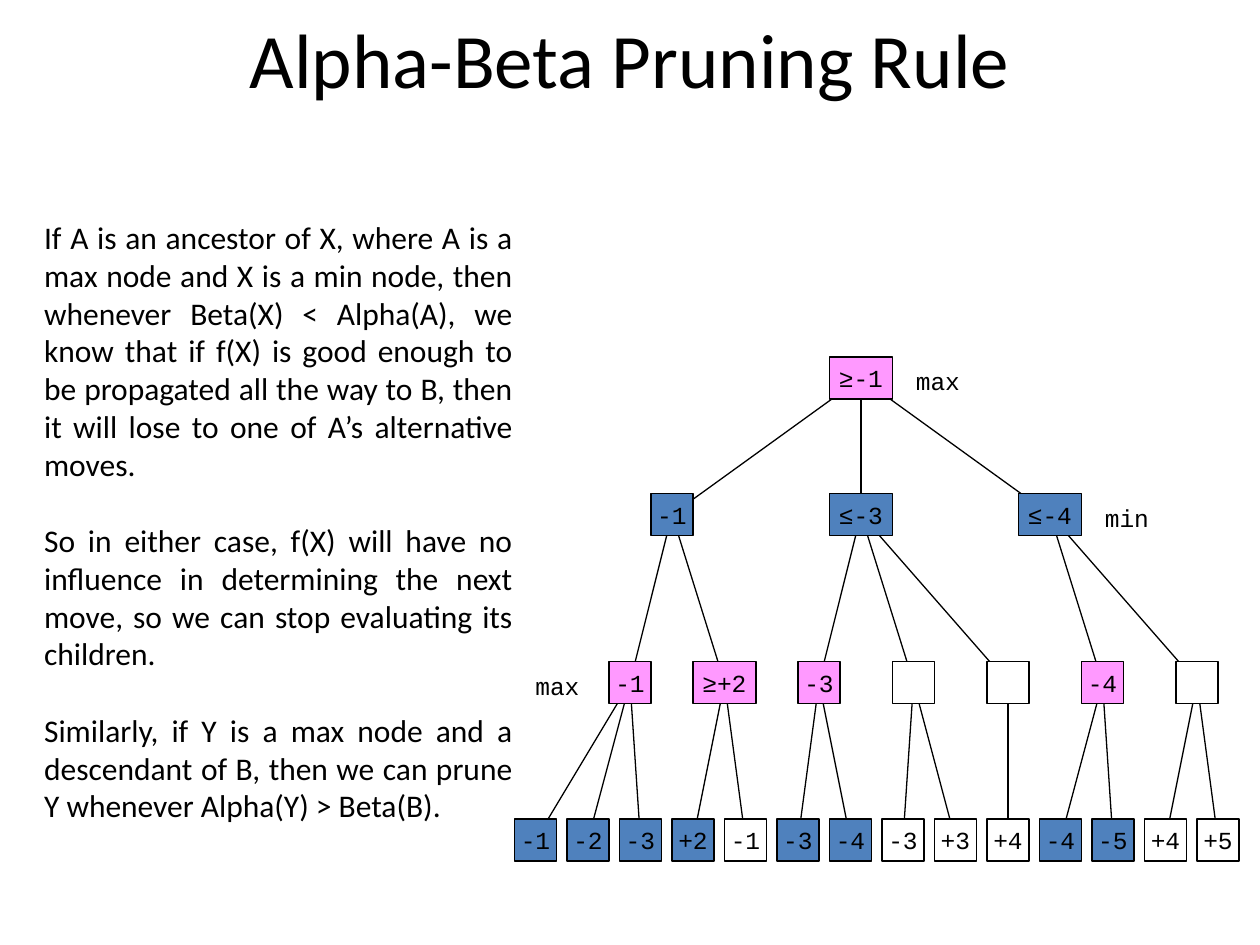
from lxml import etree
from pptx import Presentation
from pptx import util as u
from pptx.dml.color import RGBColor
from pptx.enum import shapes, text
from pptx.oxml.ns import qn

BLACK, WHITE, PINK, BLUE = "000000", "FFFFFF", "FF99FF", "4F81BD"
CELL = 1 / 12  # grid step in inches
BOX = 4        # box height, and width of a short box, in cells

PARAGRAPHS = [
    "If A is an ancestor of X, where A is a max node and X is a min node, "
    "then whenever Beta(X) < Alpha(A), we know that if f(X) is good enough to "
    "be propagated all the way to B, then it will lose to one of A’s "
    "alternative moves.",
    "So in either case, f(X) will have no influence in determining the next "
    "move, so we can stop evaluating its children.",
    "Similarly, if Y is a max node and a descendant of B, then we can prune "
    "Y whenever Alpha(Y) > Beta(B).",
]

# Each level: centre row, first centre column, column step,
# and its nodes as (label, fill, number of children)
LEVELS = [
    (36, 82, 0, [("≥-1", PINK, 3)]),
    (49, 64, 18, [("-1", BLUE, 2), ("≤-3", BLUE, 3), ("≤-4", BLUE, 2)]),
    (65, 60, 9, [("-1", PINK, 3), ("≥+2", PINK, 2), ("-3", PINK, 2),
                 ("", WHITE, 2), ("", WHITE, 1), ("-4", PINK, 2),
                 ("", WHITE, 2)]),
    (80, 51, 5, [("-1", BLUE, 0), ("-2", BLUE, 0), ("-3", BLUE, 0),
                 ("+2", BLUE, 0), ("-1", WHITE, 0), ("-3", BLUE, 0),
                 ("-4", BLUE, 0), ("-3", WHITE, 0), ("+3", WHITE, 0),
                 ("+4", WHITE, 0), ("-4", BLUE, 0), ("-5", BLUE, 0),
                 ("+4", WHITE, 0), ("+5", WHITE, 0)]),
]
PLAYERS = [("max", 7.17, 2.86), ("min", 8.67, 3.94), ("max", 4.15, 5.28)]


def rgb(value):
    return RGBColor.from_string(value)


def cells(*counts):
    return [u.Inches(n * CELL) for n in counts]


def place(sp, *box):
    sp.left, sp.top, sp.width, sp.height = [u.Inches(n) for n in box]


def add_run(p, words, size, font):
    r = p.add_run()
    r.text = words
    r.font.size = u.Pt(size)
    r.font.name = font
    r.font.color.rgb = rgb(BLACK)


def outline(sp):
    sp.line.color.rgb = rgb(BLACK)
    sp.line.width = u.Pt(0.75)


def fill_title(sp):
    place(sp, 0.75, 0.08, 8.5, 0.75)
    tf = sp.text_frame
    tf.vertical_anchor = text.MSO_ANCHOR.MIDDLE
    tf.paragraphs[0].alignment = text.PP_ALIGN.CENTER
    add_run(tf.paragraphs[0], "Alpha-Beta Pruning Rule", 44, "Calibri")


def fill_body(sp):
    """Write justified paragraphs without bullets, one line apart."""
    place(sp, 0.25, 1.68, 3.92, 4.95)
    tf = sp.text_frame
    tf.auto_size = text.MSO_AUTO_SIZE.NONE
    for i, words in enumerate(PARAGRAPHS):
        p = tf.add_paragraph() if i else tf.paragraphs[0]
        p.alignment = text.PP_ALIGN.JUSTIFY
        p.space_before = u.Pt(22 if i else 0)
        p.space_after = u.Pt(0)
        props = p._p.get_or_add_pPr()
        props.set("marL", "0")
        props.set("indent", "0")
        etree.SubElement(props, qn("a:buNone"))
        add_run(p, words, 18, "Calibri")


def add_edge(group, start, end):
    line = group.shapes.add_connector(
        shapes.MSO_CONNECTOR.STRAIGHT, *cells(*start, *end))
    outline(line)
    etree.SubElement(line._element.spPr, qn("a:effectLst"))


def add_node(group, col, row, label, fill):
    width = 6 if len(label) == 3 else BOX
    sp = group.shapes.add_shape(
        shapes.MSO_SHAPE.RECTANGLE,
        *cells(col - width / 2, row - BOX / 2, width, BOX))
    sp.shadow.inherit = False
    sp.fill.solid()
    sp.fill.fore_color.rgb = rgb(fill)
    outline(sp)
    if label:
        tf = sp.text_frame
        tf.word_wrap = False
        tf.vertical_anchor = text.MSO_ANCHOR.MIDDLE
        tf.paragraphs[0].alignment = text.PP_ALIGN.CENTER
        add_run(tf.paragraphs[0], label, 14, "Courier New")


def add_player(group, label, left, top):
    sp = group.shapes.add_textbox(
        *[u.Inches(n) for n in (left, top, 0.55, 0.33)])
    tf = sp.text_frame
    tf.word_wrap = False
    tf.auto_size = text.MSO_AUTO_SIZE.SHAPE_TO_FIT_TEXT
    add_run(tf.paragraphs[0], label, 14, "Courier New")


def add_tree(s):
    group = s.shapes.add_group_shape()
    centres = [[(first + i * step, row) for i in range(len(nodes))]
               for row, first, step, nodes in LEVELS]
    for depth, level in enumerate(LEVELS[:-1]):
        children = iter(centres[depth + 1])
        for parent, (_, _, count) in zip(centres[depth], level[3]):
            for _ in range(count):
                add_edge(group, parent, next(children))
    for points, level in zip(centres, LEVELS):
        for (col, row), (label, fill, _) in zip(points, level[3]):
            add_node(group, col, row, label, fill)
    for player in PLAYERS:
        add_player(group, *player)


def main():
    prs = Presentation()
    prs.slide_width, prs.slide_height = u.Inches(10), u.Inches(7.5)
    s = prs.slides.add_slide(prs.slide_layouts[1])
    fill_title(s.shapes.title)
    fill_body(s.placeholders[1])
    add_tree(s)
    prs.save("out.pptx")


if __name__ == "__main__":
    main()
